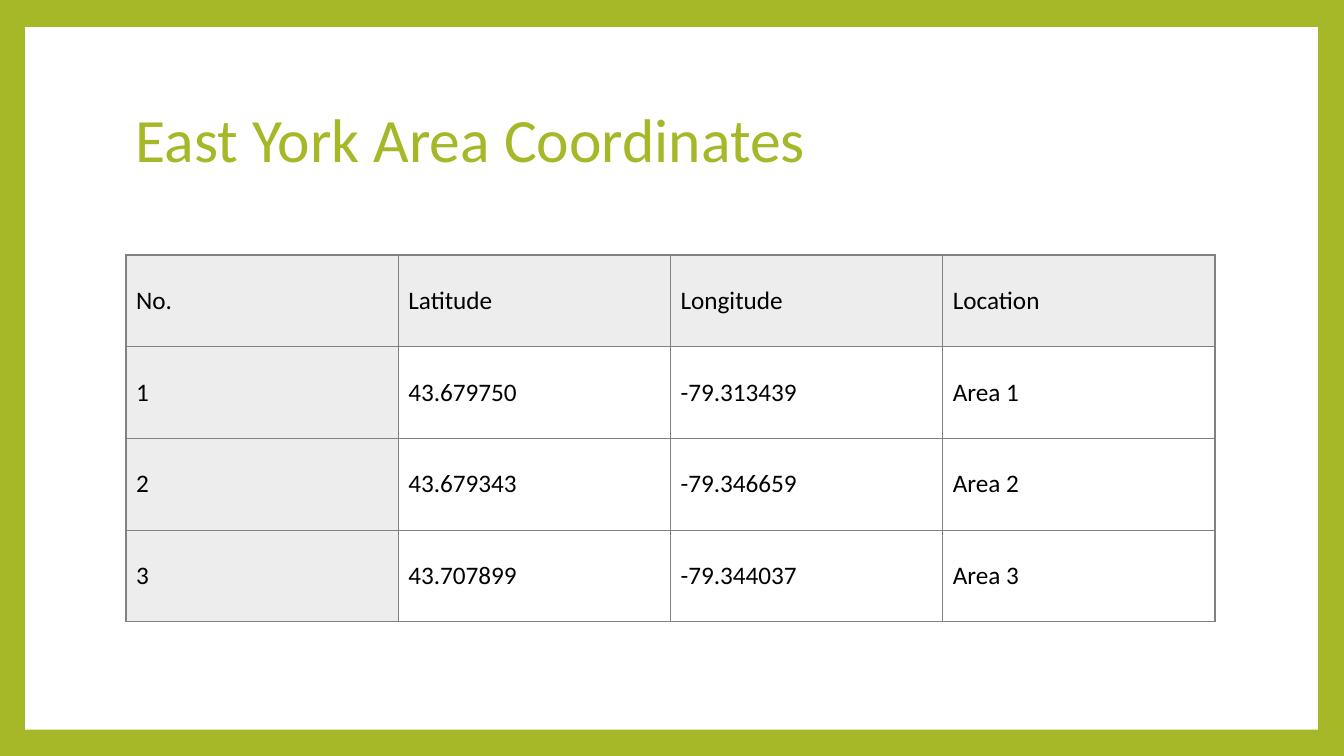
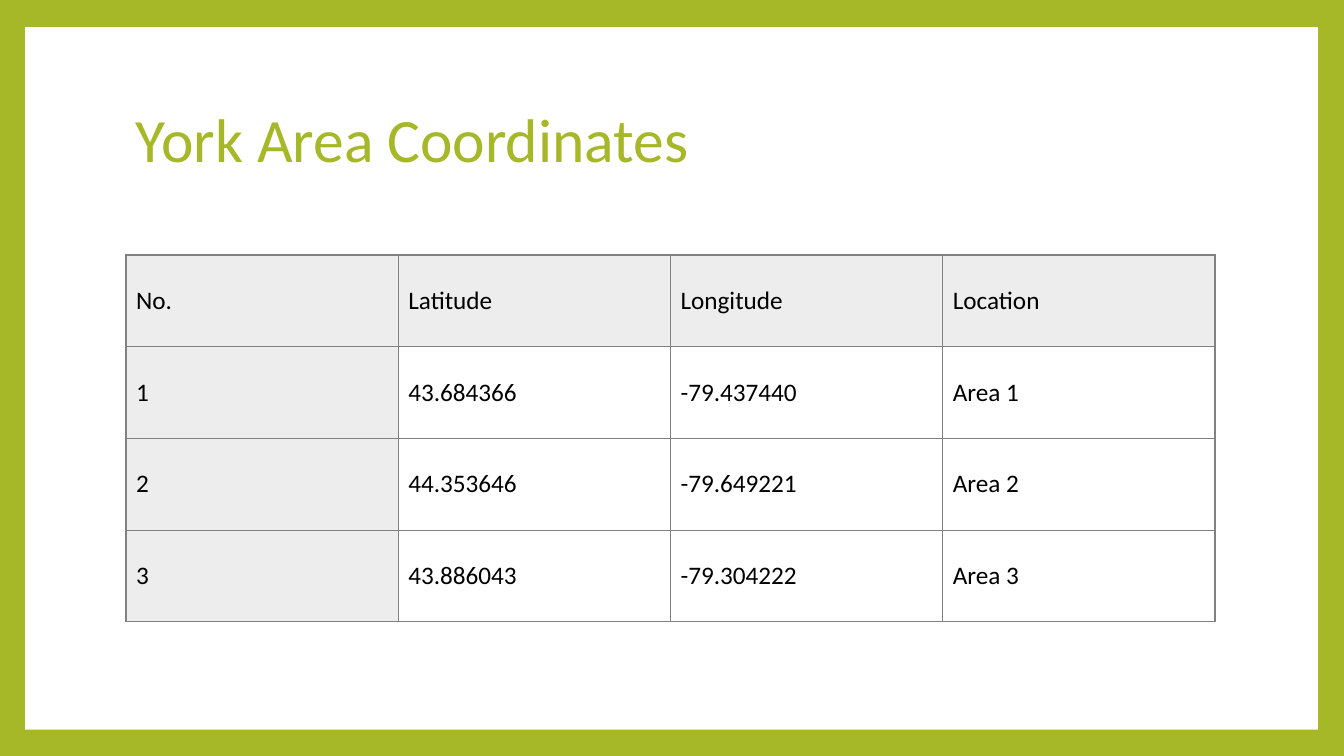
from lxml import etree
from pptx import Presentation, util as u
from pptx.dml.color import RGBColor
from pptx.enum import shapes, text
from pptx.oxml.ns import qn

HEADINGS = ["No.", "Latitude", "Longitude", "Location"]
REGIONS = {
    "East York Area Coordinates": [
        ("43.679750", "-79.313439"),
        ("43.679343", "-79.346659"),
        ("43.707899", "-79.344037"),
    ],
    "York Area Coordinates": [
        ("43.684366", "-79.437440"),
        ("44.353646", "-79.649221"),
        ("43.886043", "-79.304222"),
    ],
}

GREEN, WHITE, BLACK = "A6B727", "FFFFFF", "000000"
HEADER_GREY, BORDER_GREY = "EDEDED", "818183"
FONT = "Calibri"
WIDTH, HEIGHT = 13.33, 7.5
LEFT, CONTENT_WIDTH = 1.25, 10.8
TITLE_TOP, TITLE_HEIGHT = 0.67, 1.48
TABLE_TOP, ROW_HEIGHT = 2.53, 0.91
PANEL = (0.25, 0.27, 12.82, 6.97)


def rgb(value):
    return RGBColor.from_string(value)


def inches(*lengths):
    return [u.Inches(length) for length in lengths]


def paint(fill, colour):
    fill.solid()
    fill.fore_color.rgb = rgb(colour)


def write(frame, wording, size, colour):
    paragraph = frame.paragraphs[0]
    run = paragraph.add_run()
    run.text = wording
    run.font.name, run.font.size = FONT, u.Pt(size)
    run.font.bold = False
    run.font.color.rgb = rgb(colour)
    return paragraph


def add_borders(cell, colour, points):
    properties = cell._tc.get_or_add_tcPr()
    for side in ("lnL", "lnR", "lnT", "lnB"):
        line = etree.SubElement(properties, qn(f"a:{side}"), w=str(u.Pt(points)))
        solid = etree.SubElement(line, qn("a:solidFill"))
        etree.SubElement(solid, qn("a:srgbClr"), val=colour)


def add_panel(slide):
    panel = slide.shapes.add_shape(shapes.MSO_SHAPE.RECTANGLE, *inches(*PANEL))
    panel.shadow.inherit = False
    paint(panel.fill, WHITE)
    panel.line.fill.background()


def add_title(slide, wording):
    frame = slide.shapes.add_textbox(
        *inches(LEFT, TITLE_TOP, CONTENT_WIDTH, TITLE_HEIGHT)).text_frame
    frame.word_wrap = True
    frame.vertical_anchor = text.MSO_ANCHOR.MIDDLE
    write(frame, wording, 44, GREEN).line_spacing = 0.9


def add_coordinates(slide, points):
    rows = [HEADINGS] + [
        (str(number), latitude, longitude, f"Area {number}")
        for number, (latitude, longitude) in enumerate(points, 1)
    ]
    table = slide.shapes.add_table(
        len(rows), len(HEADINGS),
        *inches(LEFT, TABLE_TOP, CONTENT_WIDTH, ROW_HEIGHT * len(rows))).table
    table.horz_banding = False
    table.first_col = True
    for r, row in enumerate(rows):
        for c, wording in enumerate(row):
            cell = table.cell(r, c)
            cell.vertical_anchor = text.MSO_ANCHOR.MIDDLE
            add_borders(cell, BORDER_GREY, 1)
            if r == 0 or c == 0:
                paint(cell.fill, HEADER_GREY)
            else:
                cell.fill.background()
            write(cell.text_frame, wording, 18, BLACK)


def main():
    deck = Presentation()
    deck.slide_width, deck.slide_height = inches(WIDTH, HEIGHT)
    paint(deck.slide_master.background.fill, GREEN)
    blank = deck.slide_layouts[6]
    for title, points in REGIONS.items():
        slide = deck.slides.add_slide(blank)
        add_panel(slide)
        add_title(slide, title)
        add_coordinates(slide, points)
    deck.save("out.pptx")


if __name__ == "__main__":
    main()
